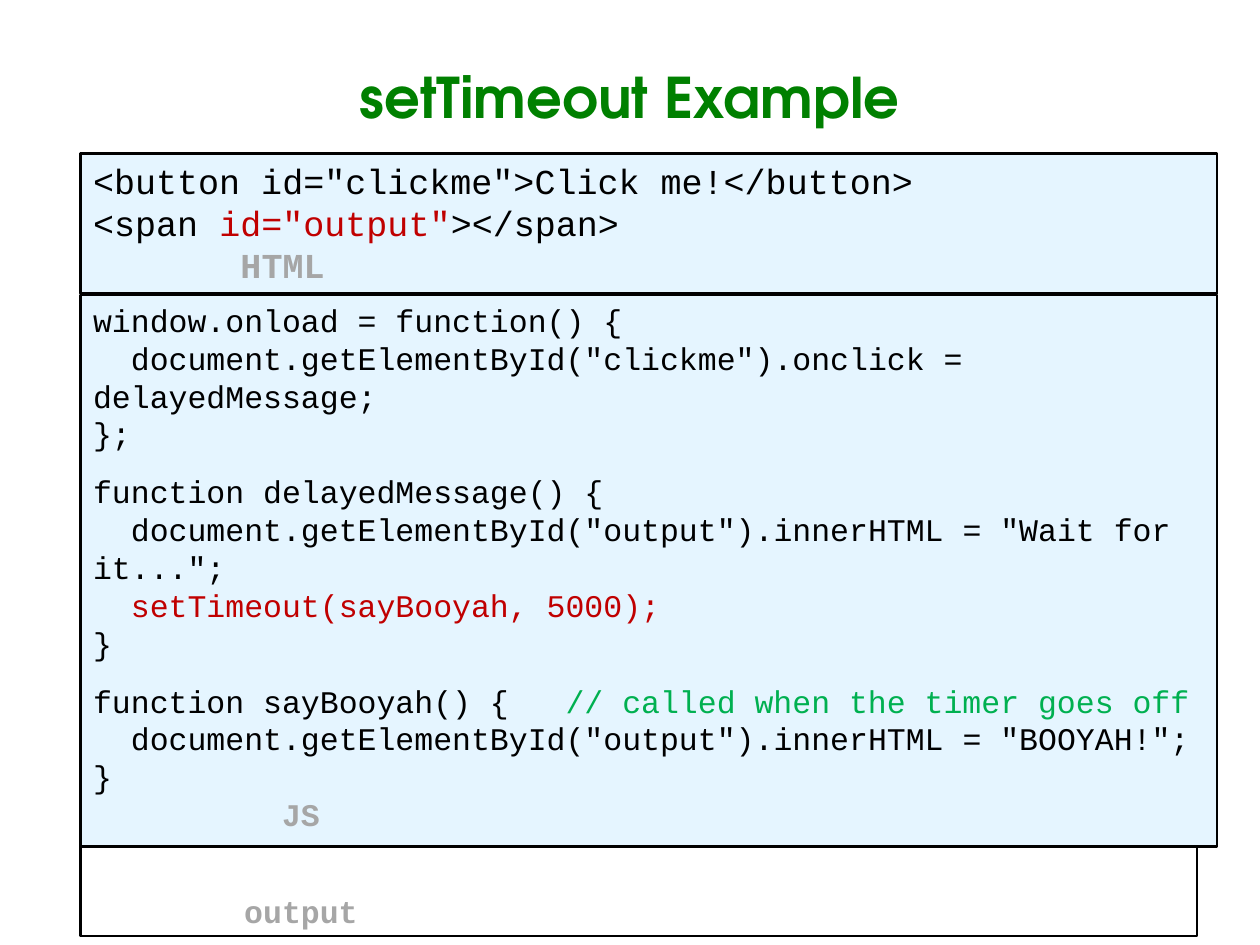
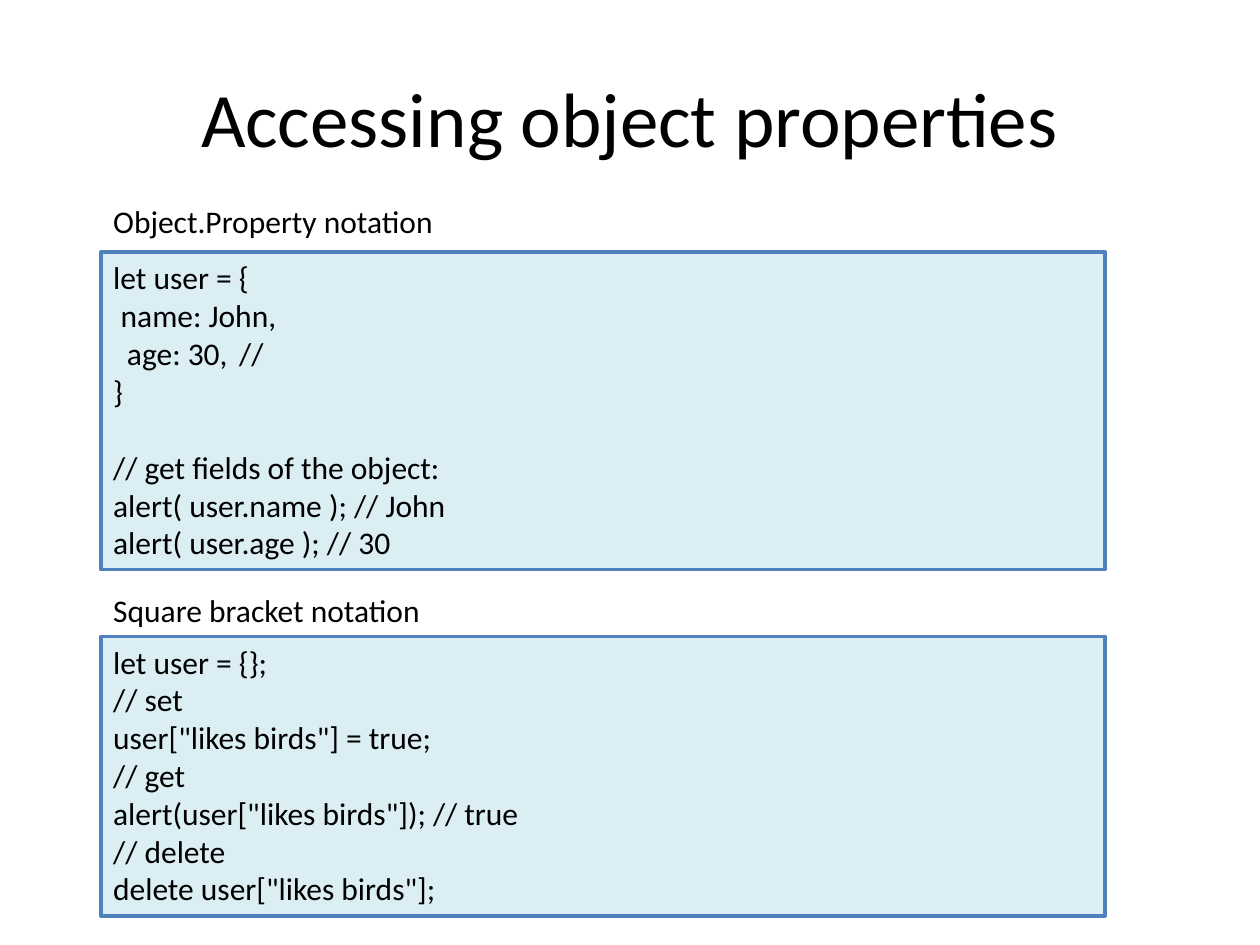
from dataclasses import dataclass

from lxml import etree
from pptx import Presentation
from pptx.dml.color import RGBColor
from pptx.enum.shapes import MSO_SHAPE
from pptx.enum.text import MSO_ANCHOR, PP_ALIGN
from pptx.oxml.ns import qn
from pptx.util import Inches, Pt

RECTANGLE = MSO_SHAPE.RECTANGLE
TOP, MIDDLE, BOTTOM = MSO_ANCHOR.TOP, MSO_ANCHOR.MIDDLE, MSO_ANCHOR.BOTTOM
LEFT, CENTER = PP_ALIGN.LEFT, PP_ALIGN.CENTER

BLACK, RED, GREEN, GRAY = "000000", "C00000", "00B050", "A6A6A6"
TITLE_GREEN, CODE_BLUE = "008000", "E5F5FF"
PANEL_FILL, PANEL_LINE = "DBEEF4", "4F81BD"
SANS, MONO, DISPLAY = "Calibri", "Courier New", "TeX Gyre Adventor"
CODE_INDENT = 0.3


@dataclass
class Line:
    """One paragraph of text, made of (text, colour) spans."""
    spans: list
    indent: float = 0
    tab: float = 0
    before: float = 0
    bold: bool = False


def code(text, colour=BLACK, **options):
    """Return a line in one colour."""
    return Line([(text, colour)], **options)


def label(text, indent):
    """Return a bold gray language label."""
    return code(text, GRAY, indent=indent, bold=True)


def rgb(value):
    """Turn a hex string into a colour."""
    return RGBColor.from_string(value)


def set_indent(paragraph, line):
    """Apply the first-line indent and the tab stop of a line."""
    properties = paragraph._p.get_or_add_pPr()
    if line.indent:
        properties.set("marL", "0")
        properties.set("indent", str(Inches(line.indent)))
    if line.tab:
        tabs = etree.SubElement(properties, qn("a:tabLst"))
        etree.SubElement(tabs, qn("a:tab"), pos=str(Inches(line.tab)), algn="l")


def write_lines(shape, lines, font, size, align=LEFT, anchor=TOP):
    """Fill a shape with formatted lines."""
    text_frame = shape.text_frame
    text_frame.word_wrap = True
    text_frame.vertical_anchor = anchor
    for index, line in enumerate(lines):
        paragraph = text_frame.add_paragraph() if index else text_frame.paragraphs[0]
        paragraph.alignment = align
        if line.before:
            paragraph.space_before = Pt(line.before)
        set_indent(paragraph, line)
        for text, colour in line.spans:
            run = paragraph.add_run()
            run.text = text
            run.font.name = font
            run.font.size = Pt(size)
            run.font.bold = line.bold
            run.font.color.rgb = rgb(colour)


def add_text(slide, box, lines, font, size, **options):
    """Add a text box."""
    shape = slide.shapes.add_textbox(*map(Inches, box))
    write_lines(shape, lines, font, size, **options)


def add_title(slide, top, line, font, size):
    """Add the centred slide title."""
    add_text(slide, (0.5, top, 9, 1.25), [line], font, size, align=CENTER, anchor=MIDDLE)


def add_panel(slide, box, lines, font, size, fill, outline, width, anchor=TOP):
    """Add an outlined rectangle holding code."""
    shape = slide.shapes.add_shape(RECTANGLE, *map(Inches, box))
    shape.shadow.inherit = False
    if fill:
        shape.fill.solid()
        shape.fill.fore_color.rgb = rgb(fill)
    else:
        shape.fill.background()
    shape.line.color.rgb = rgb(outline)
    shape.line.width = Pt(width)
    write_lines(shape, lines, font, size, anchor=anchor)


def add_notation(slide, top, heading, panel_offset, height, lines):
    """Add a heading with its code panel below."""
    left = 0.8
    panel_box = (left, top + panel_offset, 7.97, height)
    add_panel(slide, panel_box, lines, SANS, 18, PANEL_FILL, PANEL_LINE, 2)
    add_text(slide, (left, top, 3.01, 0.41), [code(heading)], SANS, 18)


def build_timeout_slide(slide):
    """Build the setTimeout example."""
    add_title(slide, 0.14, code("setTimeout Example", TITLE_GREEN, bold=True), DISPLAY, 32)
    html = [
        code('<button id="clickme">Click me!</button>'),
        Line([("<span ", BLACK), ('id="output"', RED), ("></span>", BLACK)]),
        label("HTML", 1.17),
    ]
    script = [
        code("window.onload = function() {"),
        code('document.getElementById("clickme").onclick = delayedMessage;', indent=CODE_INDENT),
        code("};"),
        code("function delayedMessage() {", before=11.5),
        code('document.getElementById("output").innerHTML = "Wait for it...";', indent=CODE_INDENT),
        code("setTimeout(sayBooyah, 5000);", RED, indent=CODE_INDENT),
        code("}"),
        Line([("function sayBooyah() {\t", BLACK), ("// called when the timer goes off", GREEN)],
             tab=3.75, before=11.5),
        code('document.getElementById("output").innerHTML = "BOOYAH!";', indent=CODE_INDENT),
        code("}"),
        label("JS", 1.5),
    ]
    left, width = 0.64, 9.02
    add_panel(slide, (left, 1.22, width, 1.11), html, MONO, 20, CODE_BLUE, BLACK, 1.5)
    add_panel(slide, (left, 2.34, width, 4.38), script, MONO, 18, CODE_BLUE, BLACK, 1.5)
    add_panel(slide, (left, 6.72, 8.86, 0.71), [label("output", 1.2)], MONO, 18,
              None, BLACK, 1.5, anchor=BOTTOM)


def build_properties_slide(slide):
    """Build the two ways of accessing object properties."""
    add_title(slide, 0.3, code("Accessing object properties"), SANS, 44)
    add_notation(slide, 1.55, "Object.Property notation", 0.45, 2.52, [
        code("let user = {"),
        code("name: John,", indent=0.06),
        code("age: 30,\t//", indent=0.11, tab=1.14),
        code("}"),
        code("// get fields of the object:", before=22),
        code("alert( user.name ); // John"),
        code("alert( user.age ); // 30"),
    ])
    add_notation(slide, 4.64, "Square bracket notation", 0.41, 2.22, [
        code("let user = {};"),
        code("// set"),
        code('user["likes birds"] = true;'),
        code("// get"),
        code('alert(user["likes birds"]); // true'),
        code("// delete"),
        code('delete user["likes birds"];'),
    ])


def main():
    """Build and save the presentation."""
    presentation = Presentation()
    presentation.slide_width = Inches(10)
    presentation.slide_height = Inches(7.5)
    blank = presentation.slide_layouts[6]
    for build in (build_timeout_slide, build_properties_slide):
        build(presentation.slides.add_slide(blank))
    presentation.save("out.pptx")


if __name__ == "__main__":
    main()
